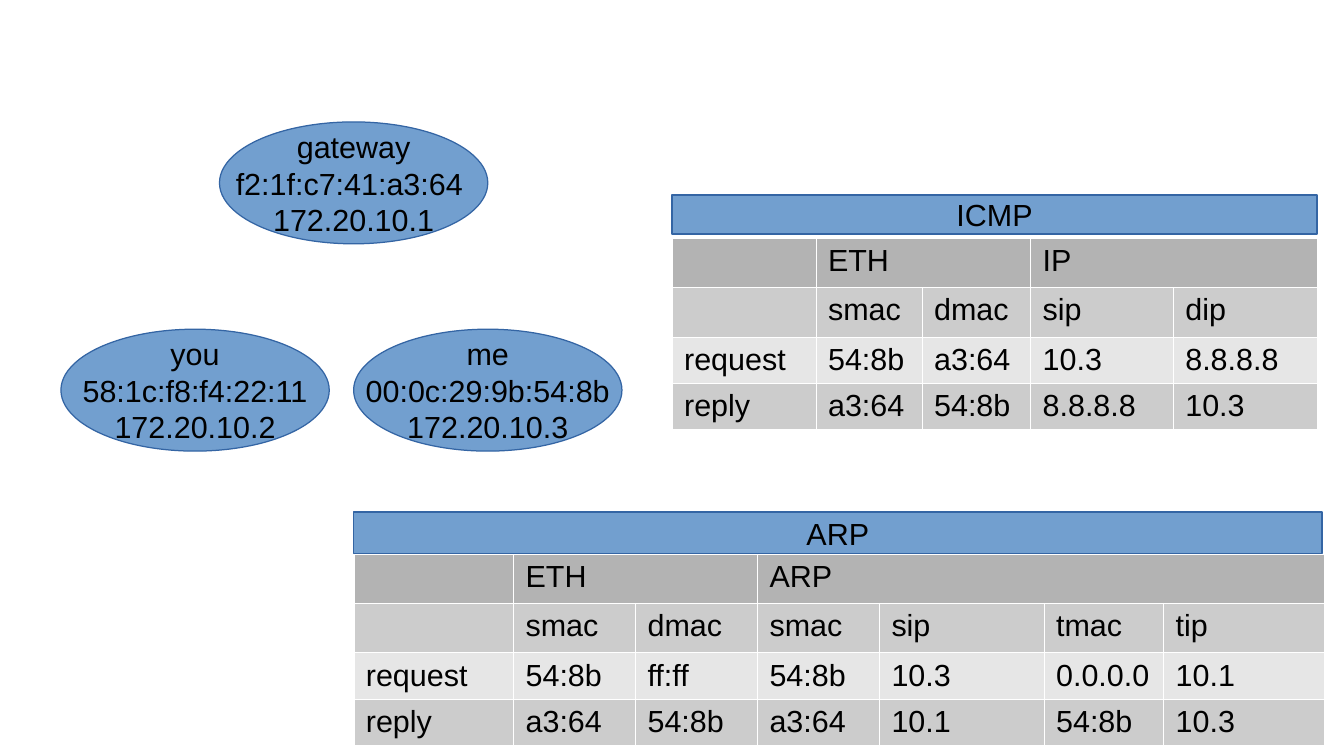
from lxml import etree
from pptx import Presentation, util as u
from pptx.dml.color import RGBColor
from pptx.enum import shapes, text
from pptx.oxml import ns

BLUE = RGBColor(0x72, 0x9F, 0xCF)
EDGE = RGBColor(0x34, 0x65, 0xA4)
BLACK = RGBColor(0, 0, 0)
WHITE = RGBColor(0xFF, 0xFF, 0xFF)
HEAD = RGBColor(0xB3, 0xB3, 0xB3)
DARK = RGBColor(0xCC, 0xCC, 0xCC)
LIGHT = RGBColor(0xE6, 0xE6, 0xE6)
BANDS = (HEAD, DARK, LIGHT, DARK)
RULE = 762


def unit(n):
    """Turn grid steps of a tenth of an inch into a length."""
    return u.Inches(n / 10)


def write(frame, words, align=None, size=18, face="Arial", color=BLACK):
    """Fill a text frame, one paragraph for each line of words."""
    for i, line in enumerate(words.split("\n")):
        para = frame.paragraphs[0] if i == 0 else frame.add_paragraph()
        para.alignment = align
        run = para.add_run()
        run.text = line
        run.font.size = u.Pt(size)
        run.font.name = face
        run.font.color.rgb = color


def border(cell):
    """Draw thin white lines on all four sides of a cell."""
    props = cell._tc.get_or_add_tcPr()
    for side in ("lnL", "lnR", "lnT", "lnB"):
        line = etree.SubElement(props, ns.qn("a:" + side), w=str(RULE))
        fill = etree.SubElement(line, ns.qn("a:solidFill"))
        etree.SubElement(fill, ns.qn("a:srgbClr"), val=str(WHITE))


class Sheet:
    """Holds the style and the current slide."""

    def __init__(self, deck):
        """Add a blank slide to the deck."""
        self.items = deck.slides.add_slide(deck.slide_layouts[6]).shapes

    def shape(self, kind, box, words):
        """Add a blue shape with centred text."""
        item = self.items.add_shape(kind, *map(unit, box))
        item.shadow.inherit = False
        item.fill.solid()
        item.fill.fore_color.rgb = BLUE
        item.line.color.rgb = EDGE
        item.line.width = u.Pt(0.75)
        frame = item.text_frame
        frame.word_wrap = False
        frame.vertical_anchor = text.MSO_ANCHOR.MIDDLE
        write(frame, words, align=text.PP_ALIGN.CENTER)

    def host(self, left, top, words):
        """Add an ellipse for one network host."""
        self.shape(shapes.MSO_SHAPE.OVAL, (left, top, 22, 10), words)

    def title(self, box, words):
        """Add the bar above a table."""
        self.shape(shapes.MSO_SHAPE.RECTANGLE, box, words)

    def table(self, left, top, wide, rows, spans, high=3.8):
        """Add a banded table; spans are column pairs joined in the head."""
        grid = self.items.add_table(
            len(rows), len(wide), unit(left), unit(top),
            unit(sum(wide)), unit(high * len(rows))).table
        grid.first_row = grid.horz_banding = False
        for col, size in zip(grid.columns, wide):
            col.width = unit(size)
        for r, (row, band) in enumerate(zip(rows, BANDS)):
            grid.rows[r].height = unit(high)
            for c, words in enumerate(row):
                cell = grid.cell(r, c)
                border(cell)
                cell.fill.solid()
                cell.fill.fore_color.rgb = band
                if words:
                    write(cell.text_frame, words)
        for first, last in spans:
            grid.cell(0, first).merge(grid.cell(0, last))


ICMP = (
    ("", "ETH", "", "IP", ""),
    ("", "smac", "dmac", "sip", "dip"),
    ("request", "54:8b", "a3:64", "10.3", "8.8.8.8"),
    ("reply", "a3:64", "54:8b", "8.8.8.8", "10.3"),
)
ARP = (
    ("", "ETH", "", "ARP", "", "", ""),
    ("", "smac", "dmac", "smac", "sip", "tmac", "tip"),
    ("request", "54:8b", "ff:ff", "54:8b", "10.3", "0.0.0.0", "10.1"),
    ("reply", "a3:64", "54:8b", "a3:64", "10.1", "54:8b", "10.3"),
)
HOSTS = (
    (18, 10, "gateway\nf2:1f:c7:41:a3:64 \n172.20.10.1"),
    (5, 27, "you\n58:1c:f8:f4:22:11\n172.20.10.2"),
    (29, 27, "me\n00:0c:29:9b:54:8b\n172.20.10.3"),
)

deck = Presentation()
deck.slide_width, deck.slide_height = unit(110.2), unit(62)
sheet = Sheet(deck)
sheet.table(55.1, 19.5, (11.8, 8.7, 8.9, 11.7, 11.8), ICMP, ((1, 2), (3, 4)))
sheet.table(29, 45.4, (13.1, 10, 10, 10, 13.5, 9.8, 13.2), ARP,
            ((1, 2), (3, 6)))
sheet.title((55.1, 16, 52.9, 3.2), "ICMP")
sheet.title((29, 42, 79.4, 3.4), "ARP")
for host in HOSTS:
    sheet.host(*host)
deck.save("out.pptx")
